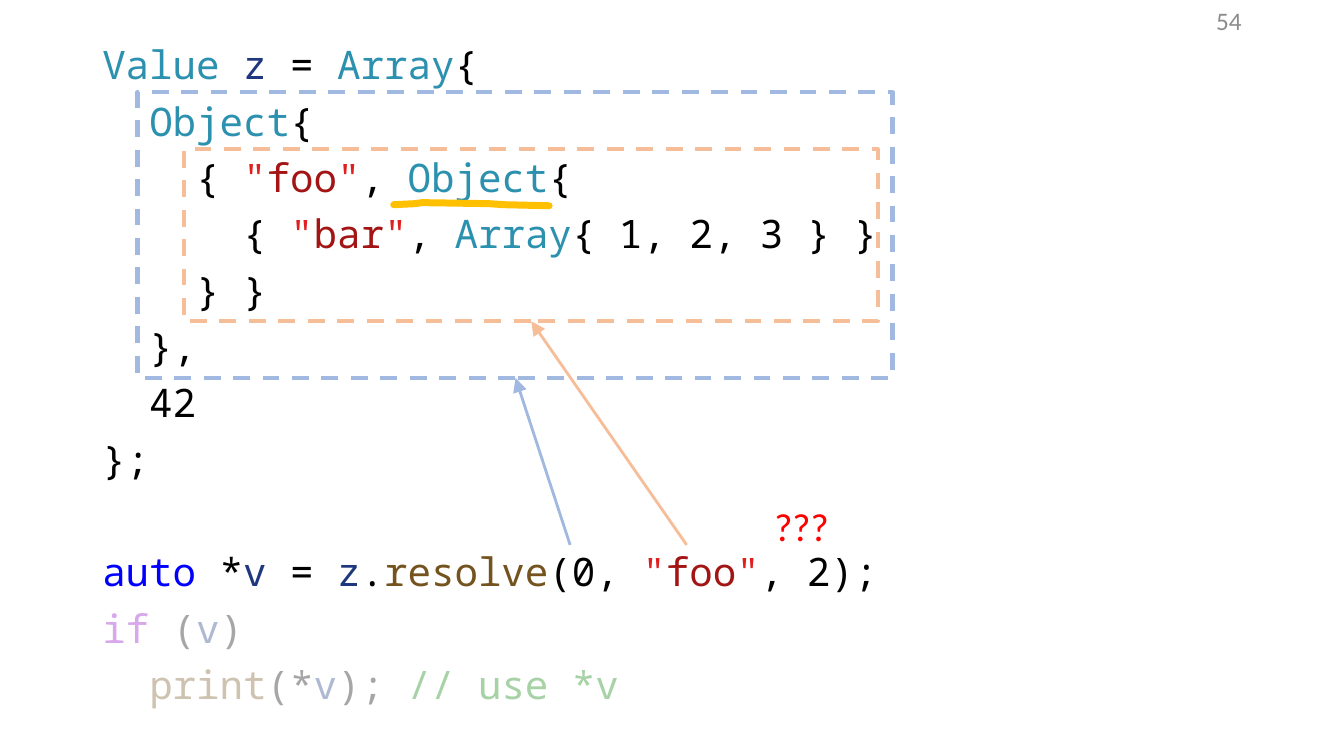
import lxml.etree
import pptx
import pptx.dml.color
import pptx.enum.dml
import pptx.enum.shapes
import pptx.enum.text
import pptx.oxml
import pptx.oxml.ns
import pptx.util

PX = 9525
COLORS = {
    "type": "2B91AF", "plain": "000000", "variable": "1F377F", "quote": "E21F1F",
    "string": "A31515", "keyword": "0000FF", "function": "74531F",
    "control": "8F08C4", "comment": "008000", "number": "8C8C8C",
    "question": "FF0000", "outer": "A1B8E1", "inner": "F6BE98", "marker": "FFC000",
}
FADED_ALPHA = "34000"
FADED_FROM = 10
QUOTE = ('"', "quote")
FOO = [QUOTE, ("foo", "string"), QUOTE]
BAR = [QUOTE, ("bar", "string"), QUOTE]
CODE = [
    [("Value", "type"), (" ", "plain"), ("z", "variable"), (" = ", "plain"),
     ("Array", "type"), ("{", "plain")],
    [("  ", "plain"), ("Object", "type"), ("{", "plain")],
    [("    { ", "plain"), *FOO, (", ", "plain"), ("Object", "type"), ("{", "plain")],
    [("      { ", "plain"), *BAR, (", ", "plain"), ("Array", "type"),
     ("{ 1, 2, 3 } }", "plain")],
    [("    } }", "plain")],
    [("  },", "plain")],
    [("  42", "plain")],
    [("};", "plain")],
    [],
    [("auto", "keyword"), (" *", "plain"), ("v", "variable"), (" = ", "plain"),
     ("z", "variable"), (".", "plain"), ("resolve", "function"), ("(0, ", "plain"),
     *FOO, (", 2);", "plain")],
    [("if", "control"), (" (", "plain"), ("v", "variable"), (")", "plain")],
    [("  ", "plain"), ("print", "function"), ("(*", "plain"), ("v", "variable"),
     ("); ", "plain"), ("// use *v", "comment")],
]
CODE_FONT = {"name": "Noto Sans Mono", "size": pptx.util.Pt(28)}
CODE_SPACING = {"line_spacing": 0.9, "space_before": pptx.util.Pt(10)}
ARROWHEAD = {"type": "triangle", "w": "lg", "len": "lg"}


def apply_format(target, values):
    """Set every attribute in the dict on the target."""
    for attribute, value in values.items():
        setattr(target, attribute, value)


def rgb(name):
    """Return the named colour."""
    return pptx.dml.color.RGBColor.from_string(COLORS[name])


def emu(*lengths):
    """Turn px lengths into EMU."""
    return [length * PX for length in lengths]


def add_run(paragraph, text, color, font):
    """Add one coloured run and return it."""
    run = paragraph.add_run()
    run.text = text
    apply_format(run.font, font)
    run.font.color.rgb = rgb(color)
    return run


def style_line(line, color, width, dash=None):
    """Give a line its colour, width and dash."""
    line.color.rgb = rgb(color)
    apply_format(line, {"width": pptx.util.Pt(width), "dash_style": dash})


def add_code(slide, box):
    """Write the highlighted listing, with its last lines faded."""
    frame = slide.shapes.add_textbox(*emu(*box)).text_frame
    frame.word_wrap = True
    for index, tokens in enumerate(CODE):
        line = frame.paragraphs[0] if index == 0 else frame.add_paragraph()
        apply_format(line, CODE_SPACING)
        apply_format(line.font, CODE_FONT)
        for text, kind in tokens:
            run = add_run(line, text, kind, CODE_FONT)
            if index >= FADED_FROM:
                fill = run.font.fill._xPr.find(".//" + pptx.oxml.ns.qn("a:srgbClr"))
                lxml.etree.SubElement(fill, pptx.oxml.ns.qn("a:alpha"), val=FADED_ALPHA)


def add_label(slide, box, text, color, size, frame_format, align):
    """Write one short label in its box."""
    frame = slide.shapes.add_textbox(*emu(*box)).text_frame
    apply_format(frame, frame_format)
    frame.paragraphs[0].alignment = align
    add_run(frame.paragraphs[0], text, color,
            {"name": "Calibri", "size": pptx.util.Pt(size)})


def add_scope(slide, box, color):
    """Draw the dashed frame around one nested value."""
    scope = slide.shapes.add_shape(pptx.enum.shapes.MSO_SHAPE.RECTANGLE, *emu(*box))
    scope.shadow.inherit = False
    scope.fill.background()
    style_line(scope.line, color, 3, pptx.enum.dml.MSO_LINE.DASH)


def add_pointer(slide, box, color, argument_offset, target_offset, argument_top):
    """Draw an arrow from a call argument to the bottom edge of its scope."""
    left, top, width, height = box
    pointer = slide.shapes.add_connector(
        pptx.enum.shapes.MSO_CONNECTOR.STRAIGHT,
        *emu(left + argument_offset, argument_top, left + target_offset, top + height))
    style_line(pointer.line, color, 2)
    lxml.etree.SubElement(pointer.line._get_or_add_ln(),
                          pptx.oxml.ns.qn("a:tailEnd"), **ARROWHEAD)
    lxml.etree.SubElement(pointer._element.spPr, pptx.oxml.ns.qn("a:effectLst"))


def add_marker(slide, box):
    """Draw the hand-made underline across the box."""
    left, top, width, height = box
    strokes = [(20, 1), (27, 0), (91, 1), (105, 2), (width, height)]
    builder = slide.shapes.build_freeform(left, top + 2, scale=PX)
    builder.add_line_segments([(left + x, top + y) for x, y in strokes], close=False)
    underline = builder.convert_to_shape()
    underline.shadow.inherit = False
    underline.fill.background()
    style_line(underline.line, "marker", 5)
    stroke = underline.line._get_or_add_ln()
    stroke.set("cap", "rnd")
    lxml.etree.SubElement(stroke, pptx.oxml.ns.qn("a:round"))


def build_code_slide(presentation):
    """Build the slide on nested value lookup."""
    slide = presentation.slides.add_slide(presentation.slide_layouts[6])
    outer_scope = (131, 88, 719, 272)
    inner_scope = (175, 142, 661, 164)
    add_code(slide, (88, 39, 1104, 681))
    add_label(slide, (904, 0, 288, 38), "54", "number", 18,
              {"word_wrap": True, "vertical_anchor": pptx.enum.text.MSO_ANCHOR.MIDDLE},
              pptx.enum.text.PP_ALIGN.RIGHT)
    add_scope(slide, outer_scope, "outer")
    add_pointer(slide, outer_scope, "outer", 412, 360, 519)
    add_pointer(slide, inner_scope, "inner", 479, 331, 519)
    add_scope(slide, inner_scope, "inner")
    add_label(slide, (728, 474, 73, 55), "???", "question", 28,
              {"word_wrap": False,
               "auto_size": pptx.enum.text.MSO_AUTO_SIZE.SHAPE_TO_FIT_TEXT},
              pptx.enum.text.PP_ALIGN.LEFT)
    add_marker(slide, (375, 193, 148, 3))


def main():
    """Make the presentation and save it."""
    presentation = pptx.Presentation()
    apply_format(presentation, {"slide_width": 1280 * PX, "slide_height": 720 * PX})
    build_code_slide(presentation)
    presentation.save("out.pptx")


if __name__ == "__main__":
    main()
